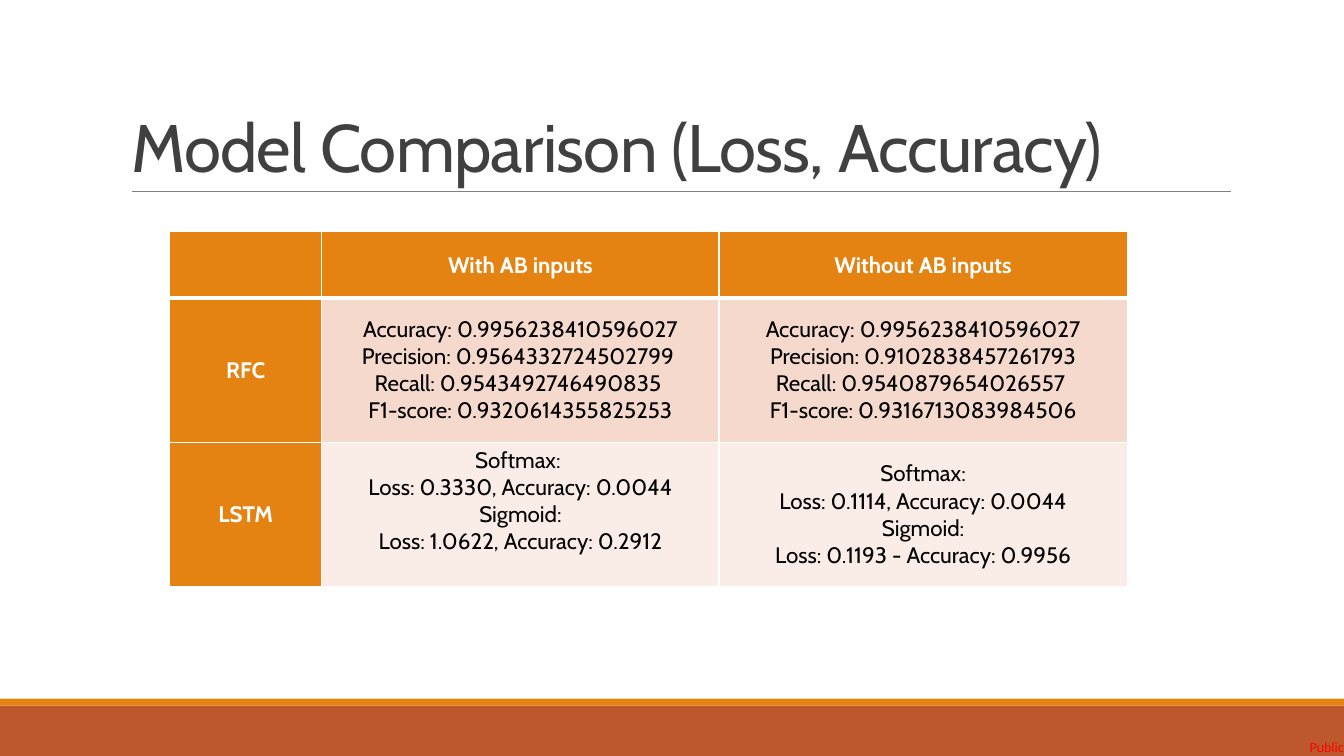
from dataclasses import dataclass

from lxml import etree
from pptx import Presentation
from pptx.dml.color import RGBColor
from pptx.enum.shapes import MSO_CONNECTOR, MSO_SHAPE
from pptx.enum.text import MSO_ANCHOR, MSO_AUTO_SIZE, PP_ALIGN
from pptx.oxml.ns import qn
from pptx.util import Pt

RECTANGLE = MSO_SHAPE.RECTANGLE
STRAIGHT = MSO_CONNECTOR.STRAIGHT
MIDDLE, BOTTOM = MSO_ANCHOR.MIDDLE, MSO_ANCHOR.BOTTOM
CENTER, LEFT = PP_ALIGN.CENTER, PP_ALIGN.LEFT
NO_AUTOFIT, GROW = MSO_AUTO_SIZE.NONE, MSO_AUTO_SIZE.SHAPE_TO_FIT_TEXT
TITLE_ONLY = 5

COLORS = {
    "orange": "E48312",
    "rust": "BD582C",
    "rose": "F5D9CC",
    "blush": "FAEDE7",
    "rule": "808080",
    "title": "404040",
    "red": "FF0000",
    "white": "FFFFFF",
    "black": "000000",
}
COLUMN_WIDTHS = [108.7, 283.7, 291.6]
ROW_HEIGHTS = [47.5, 103, 103]
NO_INSETS = dict.fromkeys(
    ["margin_left", "margin_top", "margin_right", "margin_bottom"], 0
)


@dataclass
class Bar:
    top: float
    height: float
    color: str


@dataclass
class Cell:
    lines: list[str]
    fill: str
    heading: bool = False
    bottom_margin: float = 0


BARS = [Bar(504, 36, "rust"), Bar(499, 5, "orange")]
CELLS = [
    [
        Cell([], "orange", True),
        Cell(["With AB inputs"], "orange", True),
        Cell(["Without AB inputs"], "orange", True),
    ],
    [
        Cell(["RFC"], "orange", True),
        Cell(
            [
                "Accuracy: 0.9956238410596027",
                "Precision: 0.9564332724502799 ",
                "Recall: 0.9543492746490835 ",
                "F1-score: 0.9320614355825253",
            ],
            "rose",
        ),
        Cell(
            [
                "Accuracy: 0.9956238410596027",
                "Precision: 0.9102838457261793",
                "Recall: 0.9540879654026557 ",
                "F1-score: 0.9316713083984506",
            ],
            "rose",
        ),
    ],
    [
        Cell(["LSTM"], "orange", True),
        Cell(
            [
                "Softmax: ",
                "Loss: 0.3330, Accuracy: 0.0044",
                "Sigmoid:",
                "Loss: 1.0622, Accuracy: 0.2912",
            ],
            "blush",
            bottom_margin=19,
        ),
        Cell(
            [
                "Softmax:",
                "Loss: 0.1114, Accuracy: 0.0044",
                "Sigmoid:",
                "Loss: 0.1193 - Accuracy: 0.9956",
            ],
            "blush",
        ),
    ],
]


def color(name: str) -> RGBColor:
    return RGBColor.from_string(COLORS[name])


def apply(target, values: dict) -> None:
    for name, value in values.items():
        setattr(target, name, value)


def write_lines(text_frame, lines: list[str], alignment, font: dict, color_name: str) -> None:
    for index, line in enumerate(lines):
        paragraph = text_frame.add_paragraph() if index else text_frame.paragraphs[0]
        paragraph.alignment = alignment
        run = paragraph.add_run()
        run.text = line
        apply(run.font, font)
        run.font.color.rgb = color(color_name)


def draw_bar(slide, bar: Bar) -> None:
    shape = slide.shapes.add_shape(RECTANGLE, 0, Pt(bar.top), Pt(960), Pt(bar.height))
    shape.shadow.inherit = False
    shape.fill.solid()
    shape.fill.fore_color.rgb = color(bar.color)
    shape.line.fill.background()


def draw_rule(slide) -> None:
    connector = slide.shapes.add_connector(
        STRAIGHT, Pt(94.3), Pt(136.8), Pt(879), Pt(136.8)
    )
    connector.line.color.rgb = color("rule")
    connector.line.width = Pt(0.5)
    etree.SubElement(connector._element.spPr, qn("a:effectLst"))


def draw_label(slide) -> None:
    label = slide.shapes.add_textbox(Pt(935.5), Pt(527.8), Pt(26.6), Pt(12.2))
    apply(label.text_frame, {**NO_INSETS, "word_wrap": False, "auto_size": GROW})
    font = {"name": "Calibri", "size": Pt(10)}
    write_lines(label.text_frame, ["Public"], LEFT, font, "red")


def draw_title(slide) -> None:
    title = slide.shapes.title
    bounds = {"left": 86.4, "top": 22.3, "width": 792, "height": 114.5}
    apply(title, {name: Pt(value) for name, value in bounds.items()})
    apply(
        title.text_frame,
        {"vertical_anchor": BOTTOM, "word_wrap": True, "auto_size": NO_AUTOFIT},
    )
    font = {"name": "Cabin", "size": Pt(48)}
    write_lines(
        title.text_frame, ["Model Comparison (Loss, Accuracy)"], LEFT, font, "title"
    )
    paragraph = title.text_frame.paragraphs[0]
    paragraph.line_spacing = 0.85
    paragraph.runs[0].font._element.set("spc", "-50")


def add_borders(table_cell, widths: dict[str, float]) -> None:
    properties = table_cell._tc.get_or_add_tcPr()
    for side, width in widths.items():
        border = etree.SubElement(properties, qn(f"a:ln{side}"), w=str(Pt(width)))
        fill = etree.SubElement(border, qn("a:solidFill"))
        etree.SubElement(fill, qn("a:srgbClr"), val=COLORS["white"])


def draw_table(slide) -> None:
    table = slide.shapes.add_table(
        len(ROW_HEIGHTS),
        len(COLUMN_WIDTHS),
        Pt(121.2),
        Pt(165.6),
        Pt(sum(COLUMN_WIDTHS)),
        Pt(sum(ROW_HEIGHTS)),
    ).table
    apply(table, {"first_row": False, "horz_banding": False})
    for column, width in zip(table.columns, COLUMN_WIDTHS):
        column.width = Pt(width)
    for row_index, (row, height) in enumerate(zip(table.rows, ROW_HEIGHTS)):
        row.height = Pt(height)
        top, bottom = (3 if row_index == 1 else 1), (3 if row_index == 0 else 1)
        for table_cell, cell in zip(row.cells, CELLS[row_index]):
            margins = {
                "margin_left": Pt(5),
                "margin_right": Pt(5),
                "margin_top": 0,
                "margin_bottom": Pt(cell.bottom_margin),
            }
            apply(table_cell, {**margins, "vertical_anchor": MIDDLE})
            add_borders(table_cell, {"L": 1, "R": 1, "T": top, "B": bottom})
            table_cell.fill.solid()
            table_cell.fill.fore_color.rgb = color(cell.fill)
            font = {"name": "Cabin", "size": Pt(16), "bold": cell.heading}
            text_color = "white" if cell.heading else "black"
            write_lines(table_cell.text_frame, cell.lines, CENTER, font, text_color)


def main() -> None:
    presentation = Presentation()
    apply(presentation, {"slide_width": Pt(960), "slide_height": Pt(540)})
    slide = presentation.slides.add_slide(presentation.slide_layouts[TITLE_ONLY])
    for bar in BARS:
        draw_bar(slide, bar)
    draw_rule(slide)
    draw_label(slide)
    draw_title(slide)
    draw_table(slide)
    presentation.save("out.pptx")


if __name__ == "__main__":
    main()
